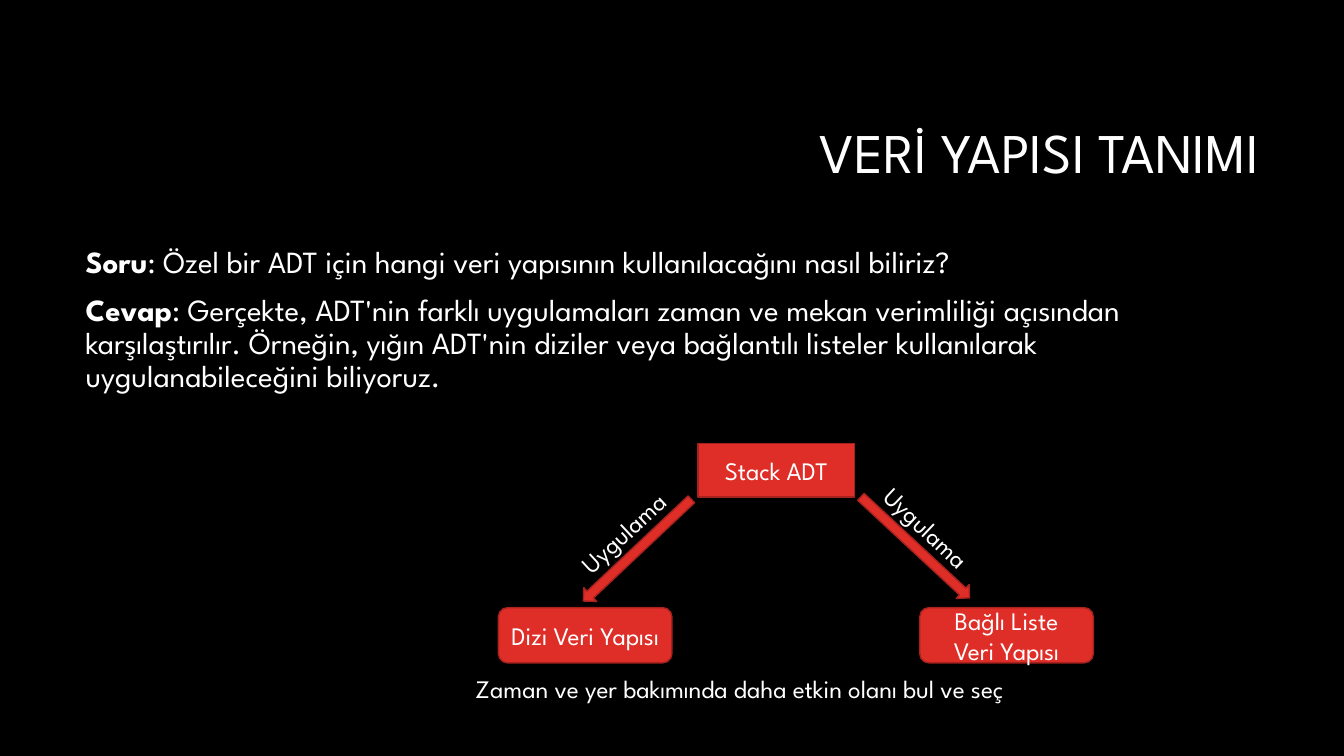
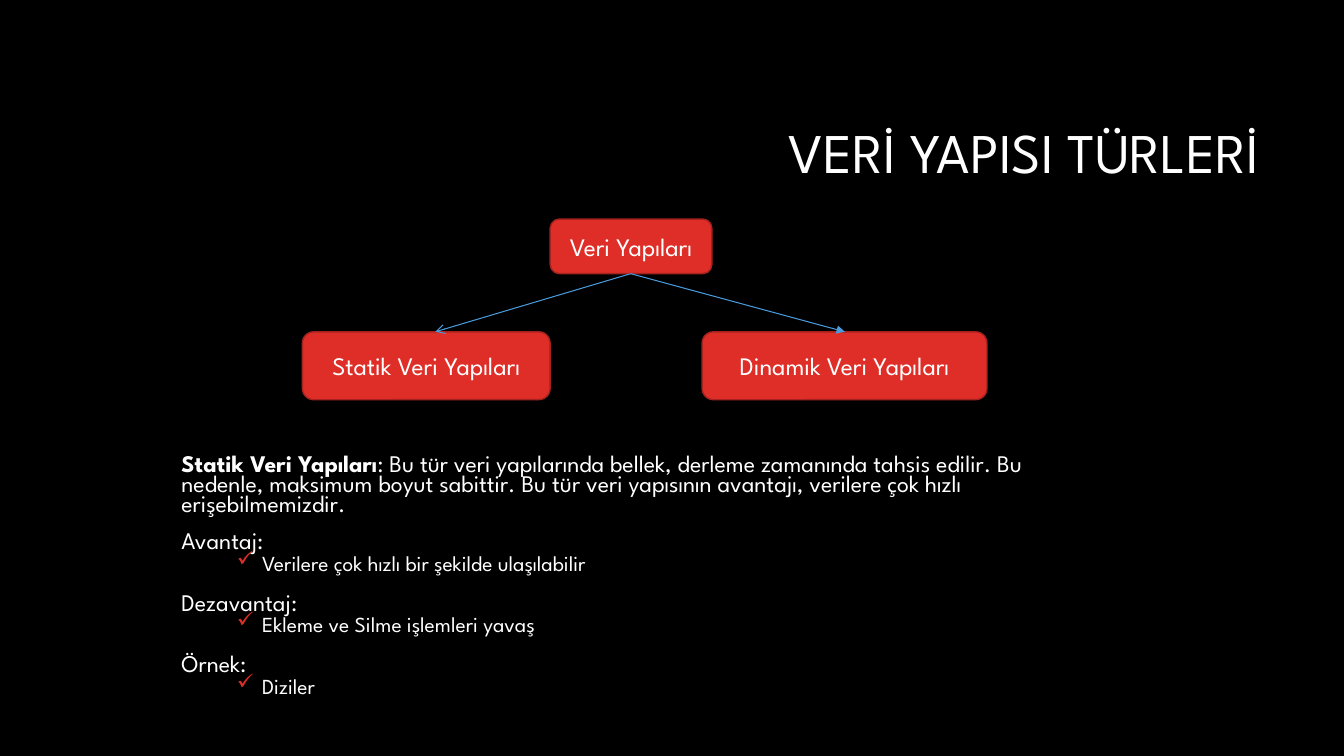
import lxml.etree
import pptx
import pptx.dml.color
import pptx.enum.shapes
import pptx.enum.text
import pptx.oxml.ns
import pptx.util

Pt = pptx.util.Pt
qn = pptx.oxml.ns.qn
SHAPE = pptx.enum.shapes.MSO_SHAPE
ALIGN = pptx.enum.text.PP_ALIGN
ANCHOR = pptx.enum.text.MSO_ANCHOR
FONT = "League Spartan"
BLACK, WHITE = "000000", "FFFFFF"
RED, DARK_RED, BLUE = "DF2E28", "A5221E", "4A9BDC"


def colour(value):
    return pptx.dml.color.RGBColor.from_string(value)


def write(box, paragraphs, size, anchor=ANCHOR.TOP, wrap=True, **layout):
    frame = box.text_frame
    frame.word_wrap = wrap
    frame.vertical_anchor = anchor
    for number, spans in enumerate(paragraphs):
        para = frame.add_paragraph() if number else frame.paragraphs[0]
        for name, value in layout.items():
            setattr(para, name, value)
        for text, bold in spans:
            span = para.add_run()
            span.text = text
            for name, value in {"name": FONT, "size": Pt(size), "bold": bold}.items():
                setattr(span.font, name, value)
            span.font.color.rgb = colour(WHITE)
    return frame


deck = pptx.Presentation()
deck.slide_width, deck.slide_height = Pt(960), Pt(540)

pages = []
for title in ("VERİ YAPISI TANIMI", "VERİ YAPISI TÜRLERİ"):
    page = deck.slides.add_slide(deck.slide_layouts[6])
    page.background.fill.solid()
    page.background.fill.fore_color.rgb = colour(BLACK)
    box = page.shapes.add_textbox(Pt(228), Pt(60.5), Pt(678.5), Pt(101.5))
    write(box, [[(title, False)]], 40, ANCHOR.MIDDLE, alignment=ALIGN.RIGHT, line_spacing=0.9)
    pages.append(page)
definition, kinds = pages

question = [
    [("Soru", True), (": Özel bir ADT için hangi veri yapısının kullanılacağını nasıl biliriz?", False)],
    [("Cevap", True), (": Gerçekte, ADT'nin farklı uygulamaları zaman ve mekan verimliliği açısından "
                       "karşılaştırılır. Örneğin, yığın ADT'nin diziler veya bağlantılı listeler "
                       "kullanılarak uygulanabileceğini biliyoruz.", False)],
]
box = definition.shapes.add_textbox(Pt(54), Pt(173), Pt(852), Pt(317))
write(box, question, 22, line_spacing=0.9, space_before=Pt(10))

for page, kind, left, top, width, height, angle, text in (
    (definition, SHAPE.RECTANGLE, 498.5, 317, 112, 38, 0, "Stack ADT"),
    (definition, SHAPE.DOWN_ARROW, 448.5, 340, 13.5, 106, 46.7, ""),
    (definition, SHAPE.DOWN_ARROW, 647, 338, 13.5, 106, 312.9, ""),
    (definition, SHAPE.ROUNDED_RECTANGLE, 356, 434, 124, 39.5, 0, "Dizi Veri Yapısı"),
    (definition, SHAPE.ROUNDED_RECTANGLE, 657, 434, 124, 39.5, 0, "Bağlı Liste Veri Yapısı"),
    (kinds, SHAPE.ROUNDED_RECTANGLE, 393, 156.5, 115.5, 39, 0, "Veri Yapıları"),
    (kinds, SHAPE.ROUNDED_RECTANGLE, 216, 237, 177, 48.5, 0, "Statik Veri Yapıları"),
    (kinds, SHAPE.ROUNDED_RECTANGLE, 501.5, 237, 203.5, 48.5, 0, "Dinamik Veri Yapıları"),
):
    box = page.shapes.add_shape(kind, Pt(left), Pt(top), Pt(width), Pt(height))
    box.rotation = angle
    box.shadow.inherit = False
    box.fill.solid()
    box.fill.fore_color.rgb = colour(RED)
    box.line.color.rgb = colour(DARK_RED)
    box.line.width = Pt(1)
    if text:
        write(box, [[(text, False)]], 18, ANCHOR.MIDDLE, alignment=ALIGN.CENTER)

for left, top, width, angle, text in (
    (400.5, 365, 91.5, 317.2, "Uygulama"),
    (617, 363.5, 91.5, 43.3, "Uygulama"),
    (332.5, 477.5, 398, 0, "Zaman ve yer bakımında daha etkin olanı bul ve seç"),
):
    box = definition.shapes.add_textbox(Pt(left), Pt(top), Pt(width), Pt(29))
    box.rotation = angle
    frame = write(box, [[(text, False)]], 18, wrap=False)
    frame.auto_size = pptx.enum.text.MSO_AUTO_SIZE.SHAPE_TO_FIT_TEXT

for end, head in ((311, "arrow"), (603.5, "triangle")):
    arrow = kinds.shapes.add_connector(
        pptx.enum.shapes.MSO_CONNECTOR.STRAIGHT, Pt(450.5), Pt(195.5), Pt(end), Pt(237))
    arrow.line.color.rgb = colour(BLUE)
    arrow.line.width = Pt(0.75)
    outline = arrow._element.spPr.find(qn("a:ln"))
    lxml.etree.SubElement(outline, qn("a:tailEnd"), type=head)
    lxml.etree.SubElement(arrow._element.spPr, qn("a:effectLst"))

heading = {"line_spacing": 0.7, "space_before": Pt(12)}
item = {"line_spacing": 0.7, "space_before": Pt(2.5), "space_after": Pt(2.5), "level": 1}
details = (
    (17, heading, "Statik Veri Yapıları",
     ": Bu tür veri yapılarında bellek, derleme zamanında tahsis edilir. Bu nedenle, maksimum boyut "
     "sabittir. Bu tür veri yapısının avantajı, verilere çok hızlı erişebilmemizdir."),
    (17, heading, "", "Avantaj:"),
    (15.3, item, "", "Verilere çok hızlı bir şekilde ulaşılabilir"),
    (17, heading, "", "Dezavantaj:"),
    (15.3, item, "", "Ekleme ve Silme işlemleri yavaş"),
    (17, heading, "", "Örnek:"),
    (15.3, item, "", "Diziler"),
)
box = kinds.shapes.add_textbox(Pt(122.5), Pt(322.5), Pt(649.5), Pt(190))
frame = box.text_frame
frame.word_wrap = True
for number, (size, layout, term, text) in enumerate(details):
    para = frame.add_paragraph() if number else frame.paragraphs[0]
    for name, value in layout.items():
        setattr(para, name, value)
    for words, bold in ((term, True), (text, False)):
        if words:
            span = para.add_run()
            span.text = words
            for name, value in {"name": FONT, "size": Pt(size), "bold": bold}.items():
                setattr(span.font, name, value)
            span.font.color.rgb = colour(WHITE)
    if layout is item:
        rules = para._p.get_or_add_pPr()
        rules.set("marL", str(Pt(57.6)))
        rules.set("indent", str(-Pt(18)))
        tint = lxml.etree.SubElement(rules, qn("a:buClr"))
        lxml.etree.SubElement(tint, qn("a:srgbClr"), val=RED)
        lxml.etree.SubElement(rules, qn("a:buChar"), char="✓")

deck.save("out.pptx")
